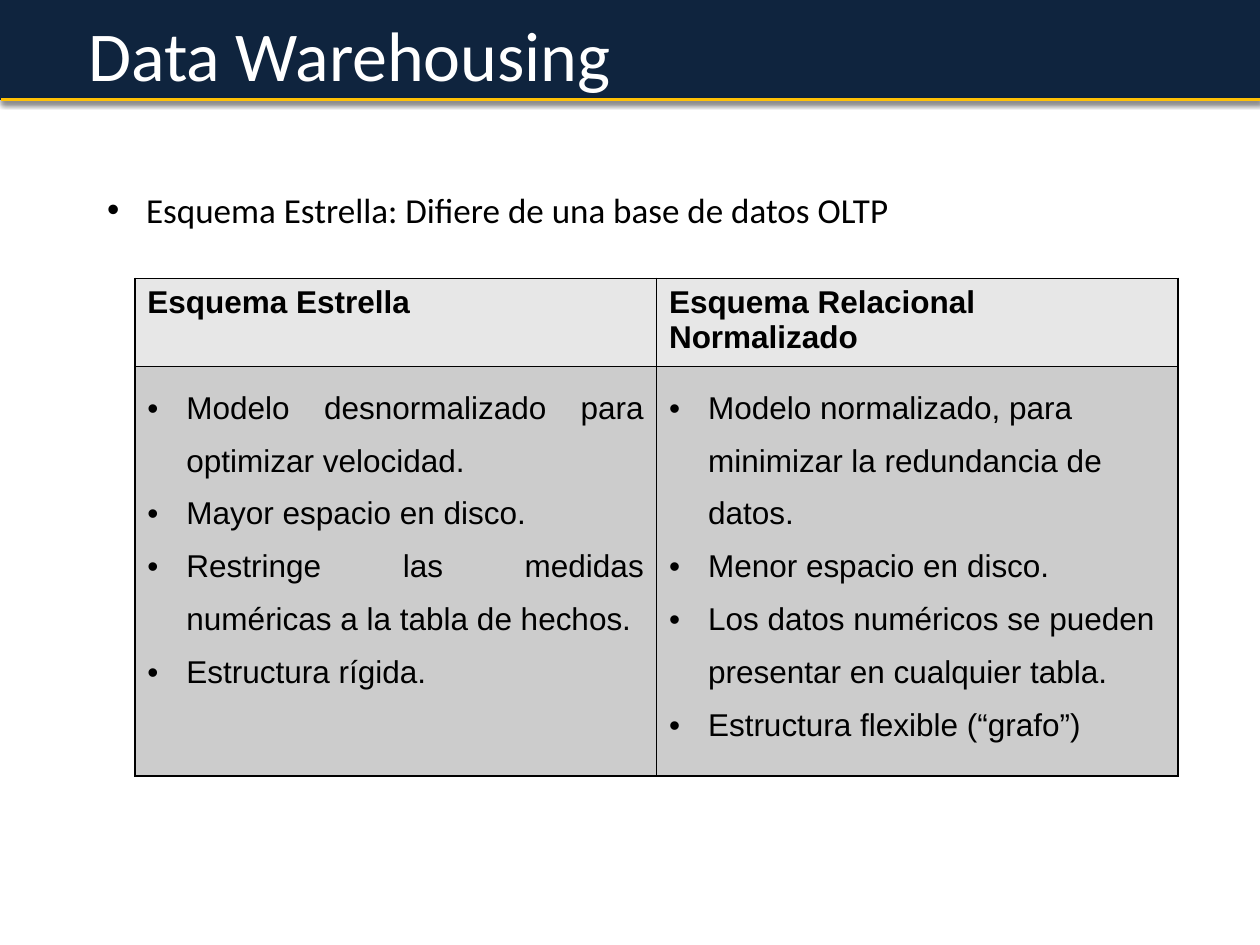
from lxml import etree
from pptx import Presentation, oxml
from pptx.dml.color import RGBColor
from pptx.enum import shapes, text
from pptx.oxml import ns
from pptx.util import Inches, Pt

COLORS = {"navy": "0F243E", "gold": "FFC105", "white": "FFFFFF",
          "black": "000000", "head": "E7E7E7", "body": "CCCCCC"}
HEADS = ["Esquema Estrella", "Esquema Relacional Normalizado"]
LISTS = [
    ["Modelo desnormalizado para optimizar velocidad.",
     "Mayor espacio en disco.",
     "Restringe las medidas numéricas a la tabla de hechos.",
     "Estructura rígida."],
    ["Modelo normalizado, para minimizar la redundancia de datos.",
     "Menor espacio en disco.",
     "Los datos numéricos se pueden presentar en cualquier tabla.",
     "Estructura flexible (“grafo”)"],
]
ALIGN = text.PP_ALIGN


def rgb(name):
    return RGBColor.from_string(COLORS[name])


def place(shape, box):
    shape.left, shape.top, shape.width, shape.height = map(Inches, box)


def style(para, font, size, color="black", bold=False):
    for run in para.runs:
        run.font.name, run.font.size, run.font.bold = font, Pt(size), bold
        run.font.color.rgb = rgb(color)


def bullet(para, align):
    """Hanging bullet with one and a half line spacing."""
    para.alignment, para.line_spacing = align, 1.5
    para.space_before = Pt(0)
    props = para._p.get_or_add_pPr()
    props.set("marL", str(Inches(0.31)))
    props.set("indent", str(-Inches(0.31)))
    etree.SubElement(props, ns.qn("a:buFont")).set("typeface", "Arial")
    etree.SubElement(props, ns.qn("a:buChar")).set("char", "•")


def shadow(shape, alpha, dist):
    """Soft shadow straight below; alpha in percent, dist in points."""
    shape._element.spPr.append(oxml.parse_xml(
        f'<a:effectLst {ns.nsdecls("a")}><a:outerShdw blurRad="{Pt(3.1)}" '
        f'dist="{Pt(dist)}" dir="5400000" rotWithShape="0">'
        f'<a:srgbClr val="{COLORS["black"]}"><a:alpha val="{alpha * 1000}"/>'
        '</a:srgbClr></a:outerShdw></a:effectLst>'))


def header(slide, box):
    left, top, width, height = box
    band = slide.shapes.add_shape(shapes.MSO_SHAPE.RECTANGLE,
                                  *map(Inches, box))
    band.fill.solid()
    band.fill.fore_color.rgb = band.line.color.rgb = rgb("navy")
    band.line.width = Pt(0.75)
    shadow(band, 35, 1.8)

    title = slide.shapes.title
    place(title, (left + 0.5, top + 0.08, width - 1, height - 0.1))
    frame = title.text_frame
    frame.text = "Data Warehousing"
    frame.auto_size = text.MSO_AUTO_SIZE.NONE
    frame.vertical_anchor = text.MSO_ANCHOR.MIDDLE
    frame.margin_left, frame.margin_right = Inches(0.2), Inches(0.1)
    frame.margin_top = frame.margin_bottom = 0
    frame.paragraphs[0].alignment = ALIGN.LEFT
    style(frame.paragraphs[0], "Calibri", 40, "white")
    title._element.addprevious(band._element)

    base = Inches(top + height)
    rule = slide.shapes.add_connector(shapes.MSO_CONNECTOR.STRAIGHT,
                                      Inches(left + 0.01), base,
                                      Inches(left + width + 0.01), base)
    rule.line.color.rgb, rule.line.width = rgb("gold"), Pt(2)
    shadow(rule, 38, 1.6)


def lead(slide, box):
    body = slide.placeholders[1]
    place(body, box)
    frame = body.text_frame
    frame.text = "Esquema Estrella: Difiere de una base de datos OLTP"
    frame.auto_size = text.MSO_AUTO_SIZE.NONE
    bullet(frame.paragraphs[0], ALIGN.JUSTIFY)
    style(frame.paragraphs[0], "Calibri", 20)


def paint(cell, fill):
    """Black border on all sides, then the fill."""
    props = cell._tc.get_or_add_tcPr()
    for side in ("lnL", "lnR", "lnT", "lnB"):
        props.append(oxml.parse_xml(
            f'<a:{side} {ns.nsdecls("a")} w="{Pt(1)}"><a:solidFill>'
            f'<a:srgbClr val="{COLORS["black"]}"/></a:solidFill></a:{side}>'))
    cell.fill.solid()
    cell.fill.fore_color.rgb = rgb(fill)


def compare(slide, box):
    """Two schemas side by side: a heading and a list for each."""
    table = slide.shapes.add_table(2, 2, *map(Inches, box)).table
    table.rows[0].height = Inches(0.7)
    table.rows[1].height = Inches(box[3] - 0.7)
    for col, align in enumerate((ALIGN.JUSTIFY, ALIGN.LEFT)):
        head, body = table.cell(0, col), table.cell(1, col)
        paint(head, "head")
        paint(body, "body")
        head.text = HEADS[col]
        style(head.text_frame.paragraphs[0], "Arial", 18, bold=True)
        body.text = "\n".join(LISTS[col])
        for para in body.text_frame.paragraphs:
            bullet(para, align)
            style(para, "Arial", 18)


def main():
    deck = Presentation()
    deck.slide_width, deck.slide_height = Inches(10), Inches(7.5)
    slide = deck.slides.add_slide(deck.slide_layouts[1])
    header(slide, (0, 0, 10, 0.79))
    lead(slide, (0.75, 1.28, 8.6, 0.8))
    compare(slide, (1.07, 2.21, 8.28, 3.95))
    deck.save("out.pptx")


if __name__ == "__main__":
    main()
